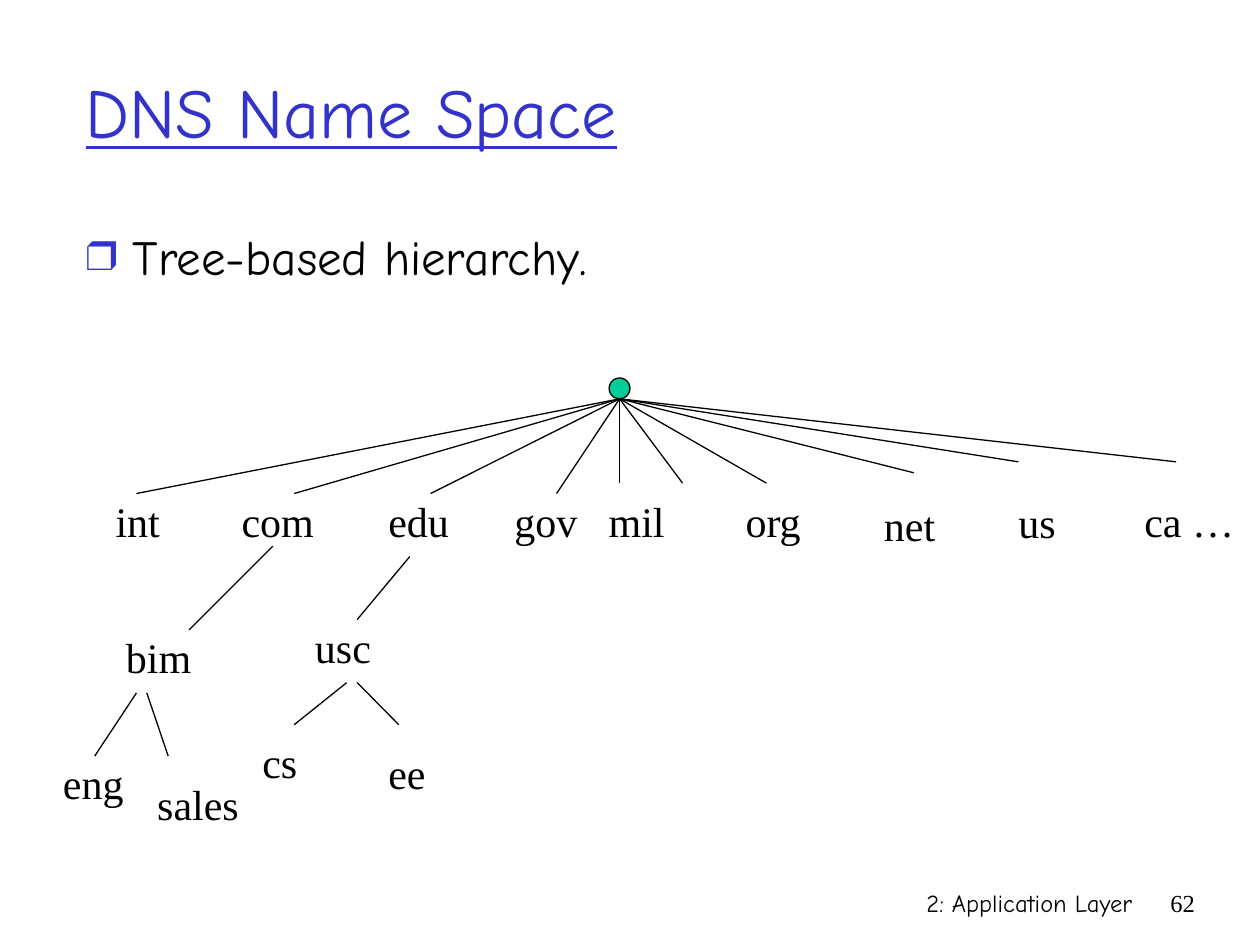
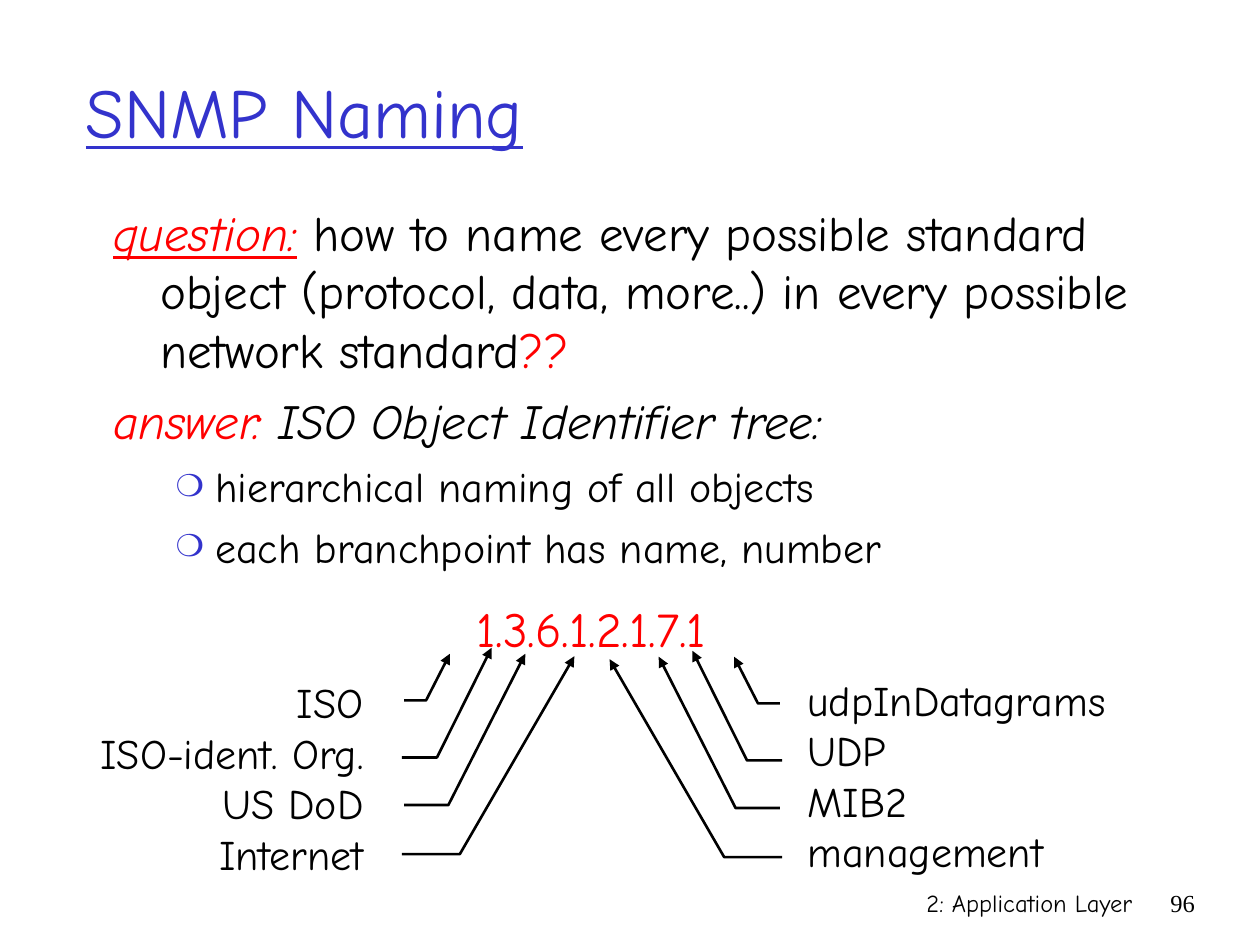
from dataclasses import dataclass

from lxml import etree
from pptx import Presentation
from pptx.dml.color import RGBColor
from pptx.enum.shapes import MSO_CONNECTOR, MSO_SHAPE
from pptx.enum.text import MSO_ANCHOR, MSO_AUTO_SIZE, PP_ALIGN
from pptx.oxml.ns import qn
from pptx.util import Cm, Pt

LEFT, CENTER, RIGHT = PP_ALIGN.LEFT, PP_ALIGN.CENTER, PP_ALIGN.RIGHT
TOP, MIDDLE = MSO_ANCHOR.TOP, MSO_ANCHOR.MIDDLE
FIT_SHAPE, FIXED = MSO_AUTO_SIZE.SHAPE_TO_FIT_TEXT, MSO_AUTO_SIZE.NONE
STRAIGHT = MSO_CONNECTOR.STRAIGHT
OVAL = MSO_SHAPE.OVAL


@dataclass(frozen=True)
class Theme:
    ink: str = "000000"
    accent: str = "3333CC"
    alert: str = "FF0000"
    node: str = "00CC99"
    sans: str = "Comic Neue"
    serif: str = "Times New Roman"
    title: int = 40
    body: int = 28
    label: int = 24
    footer: int = 14
    thin: float = 0.75
    thick: float = 1.5


THEME = Theme()


@dataclass(frozen=True)
class Span:
    text: str
    color: str = THEME.ink
    italic: bool = False
    underline: bool = False


@dataclass(frozen=True)
class Para:
    spans: tuple[Span, ...]
    size: int = THEME.body
    before: int = 0
    level: int = 0
    margin: float = 0
    indent: float = 0
    bullet: str = ""
    bullet_percent: int = 100


@dataclass(frozen=True)
class Area:
    left: float
    top: float
    width: float
    height: float


@dataclass(frozen=True)
class Label:
    text: str
    left: float
    top: float
    width: float


@dataclass(frozen=True)
class Branch:
    x1: float
    y1: float
    x2: float
    y2: float


@dataclass(frozen=True)
class Pointer:
    start: float
    elbow: float
    level: float
    tip_x: float
    tip_y: float


# Shared drawing functions
def add_bullet(para, content: Para) -> None:
    properties = para._p.get_or_add_pPr()
    properties.set("marL", str(Cm(content.margin)))
    properties.set("indent", str(Cm(content.indent)))
    if content.bullet:
        color = etree.SubElement(properties, qn("a:buClr"))
        etree.SubElement(color, qn("a:srgbClr"), val=THEME.accent)
        etree.SubElement(properties, qn("a:buSzPct"),
                         val=str(content.bullet_percent * 1000))
        etree.SubElement(properties, qn("a:buFont"), typeface=THEME.serif)
        etree.SubElement(properties, qn("a:buChar"), char=content.bullet)
    else:
        etree.SubElement(properties, qn("a:buNone"))


def add_text(page, area: Area, text: str | list[Para], *, font: str = THEME.sans,
             size: int = THEME.label, color: str = THEME.ink,
             underline: bool = False, align=LEFT, anchor=TOP,
             wrap: bool = True) -> None:
    """Place plain lines or formatted paragraphs in a text box."""
    if isinstance(text, str):
        text = [Para((Span(line, color, underline=underline),), size)
                for line in text.split("\n")]
    box = page.shapes.add_textbox(Cm(area.left), Cm(area.top),
                                  Cm(area.width), Cm(area.height))
    frame = box.text_frame
    frame.word_wrap = wrap
    frame.auto_size = FIXED if wrap else FIT_SHAPE
    frame.vertical_anchor = anchor
    for index, content in enumerate(text):
        para = frame.add_paragraph() if index else frame.paragraphs[0]
        para.alignment = align
        para.level = content.level
        para.space_before = Pt(content.before)
        add_bullet(para, content)
        for piece in content.spans:
            span = para.add_run()
            span.text = piece.text
            span.font.name = font
            span.font.size = Pt(content.size)
            span.font.color.rgb = RGBColor.from_string(piece.color)
            span.font.italic = piece.italic
            span.font.underline = piece.underline


def set_line(shape, width: float) -> None:
    shape.line.color.rgb = RGBColor.from_string(THEME.ink)
    shape.line.width = Pt(width)


def add_branch(page, branch: Branch) -> None:
    line = page.shapes.add_connector(STRAIGHT, Cm(branch.x1), Cm(branch.y1),
                                     Cm(branch.x2), Cm(branch.y2))
    set_line(line, THEME.thin)
    etree.SubElement(line._element.spPr, qn("a:effectLst"))


def add_pointers(page, points: list[list[tuple[float, float]]]) -> None:
    """Draw one group of bent arrows."""
    group = page.shapes.add_group_shape()
    for start, *rest in points:
        builder = group.shapes.build_freeform(Cm(start[0]), Cm(start[1]))
        builder.add_line_segments([(Cm(x), Cm(y)) for x, y in rest], close=False)
        arrow = builder.convert_to_shape()
        arrow.shadow.inherit = False
        arrow.fill.background()
        set_line(arrow, THEME.thick)
        etree.SubElement(arrow.line._get_or_add_ln(), qn("a:tailEnd"), type="triangle")


def add_page(deck, title: str, number: int):
    page = deck.slides.add_slide(deck.slide_layouts[6])
    add_text(page, Area(15.03, 17.78, 8.05, 1.27), "2: Application Layer",
             size=THEME.footer, align=RIGHT)
    add_text(page, Area(23.07, 17.78, 1.27, 1.27), str(number),
             font=THEME.serif, size=THEME.footer, align=RIGHT)
    add_text(page, Area(1.48, 0.64, 21.59, 3.18), title, size=THEME.title,
             color=THEME.accent, underline=True, anchor=MIDDLE)
    return page


# Name tree
ROOT = Area(12.28, 7.62, 0.42, 0.42)
ROOT_ENDS = [
    (2.75, 9.95), (5.93, 9.95), (8.68, 9.95), (11.22, 9.95), (12.49, 9.74),
    (13.76, 9.74), (15.45, 9.74), (18.42, 9.53), (20.53, 9.31), (23.71, 9.31),
]
LOWER_BRANCHES = [
    Branch(8.26, 11.22, 7.2, 12.49),
    Branch(6.99, 13.76, 5.93, 14.61),
    Branch(7.2, 13.76, 8.04, 14.61),
    Branch(5.5, 11.01, 3.81, 12.7),
    Branch(2.75, 13.97, 1.91, 15.24),
    Branch(2.96, 13.97, 3.39, 15.24),
]
NAMES = [
    Label("int", 2.08, 9.86, 1.45),
    Label("com", 4.62, 9.86, 2),
    Label("edu", 7.58, 9.86, 1.78),
    Label("gov", 10.12, 9.86, 1.83),
    Label("mil", 12.02, 9.86, 1.68),
    Label("org", 14.78, 9.86, 1.68),
    Label("net", 17.57, 9.95, 1.6),
    Label("us", 20.28, 9.88, 1.32),
    Label("ca …", 22.82, 9.86, 2.36),
    Label("usc", 6.1, 12.4, 1.68),
    Label("cs", 5.04, 14.72, 1.28),
    Label("ee", 7.58, 14.94, 1.32),
    Label("bim", 2.29, 12.61, 1.88),
    Label("eng", 1.02, 15.15, 1.78),
    Label("sales", 2.92, 15.56, 2.2),
]


def build_name_space(deck) -> None:
    page = add_page(deck, "DNS Name Space", 62)
    add_text(page, Area(1.48, 4.45, 21.59, 12.9), [
        Para((Span("Tree-based hierarchy."),), margin=0.95, indent=-0.95,
             bullet="❒", bullet_percent=85)])

    root = page.shapes.add_shape(OVAL, Cm(ROOT.left), Cm(ROOT.top),
                                 Cm(ROOT.width), Cm(ROOT.height))
    root.shadow.inherit = False
    root.fill.solid()
    root.fill.fore_color.rgb = RGBColor.from_string(THEME.node)
    set_line(root, THEME.thin)

    root_x, root_y = ROOT.left + ROOT.width / 2, ROOT.top + ROOT.height
    for branch in [Branch(root_x, root_y, x, y) for x, y in ROOT_ENDS] + LOWER_BRANCHES:
        add_branch(page, branch)
    for name in NAMES:
        add_text(page, Area(name.left, name.top, name.width, 1.27), name.text,
                 font=THEME.serif, wrap=False)


# Object identifier
POINTERS = [
    Pointer(8.15, 8.59, 14.12, 9.07, 13.18),
    Pointer(8.1, 8.81, 15.27, 9.91, 13.06),
    Pointer(8.15, 9.04, 16.23, 10.59, 13.18),
    Pointer(8.1, 9.27, 17.22, 11.58, 13.23),
]
MIRROR_SUM = 23.87  # a left x and its right twin add up to this
MIRROR_DROP = 0.06


def question_para(*spans: Span, before: int = 0) -> Para:
    return Para(spans, before=before, margin=0.95, indent=-0.95)


def point_para(text: str) -> Para:
    return Para((Span(text),), size=THEME.label, before=6, level=1, margin=2.06,
                indent=-0.79, bullet="❍", bullet_percent=75)


def build_snmp_naming(deck) -> None:
    page = add_page(deck, "SNMP Naming", 96)
    add_text(page, Area(2.03, 3.95, 22.3, 7.72), [
        question_para(
            Span("question:", THEME.alert, italic=True, underline=True),
            Span(" how to name every possible standard object (protocol, data, "
                 "more..) in every possible network standard"),
            Span("??", THEME.alert)),
        question_para(
            Span("answer:", THEME.alert, italic=True),
            Span(" ISO Object Identifier tree:", italic=True), before=7),
        point_para("hierarchical naming of all objects"),
        point_para("each branchpoint has name, number"),
    ])
    add_text(page, Area(9.27, 11.94, 5.3, 1.45), "1.3.6.1.2.1.7.1",
             size=THEME.body, color=THEME.alert, align=CENTER, wrap=False)
    add_text(page, Area(1.7, 13.52, 5.88, 4.32),
             "ISO\nISO-ident. Org.\nUS DoD\nInternet", align=RIGHT, wrap=False)

    left_side = [[(arrow.start, arrow.level), (arrow.elbow, arrow.level),
                  (arrow.tip_x, arrow.tip_y)] for arrow in POINTERS]
    right_side = [[(MIRROR_SUM - x, y + MIRROR_DROP) for x, y in points]
                  for points in left_side]
    add_pointers(page, left_side)
    add_pointers(page, right_side)
    add_text(page, Area(16.03, 13.47, 6.6, 4.32),
             "udpInDatagrams\nUDP\nMIB2\nmanagement", wrap=False)


def main() -> None:
    deck = Presentation()
    deck.slide_width, deck.slide_height = Cm(25.4), Cm(19.05)
    build_name_space(deck)
    build_snmp_naming(deck)
    deck.save("out.pptx")


if __name__ == "__main__":
    main()
